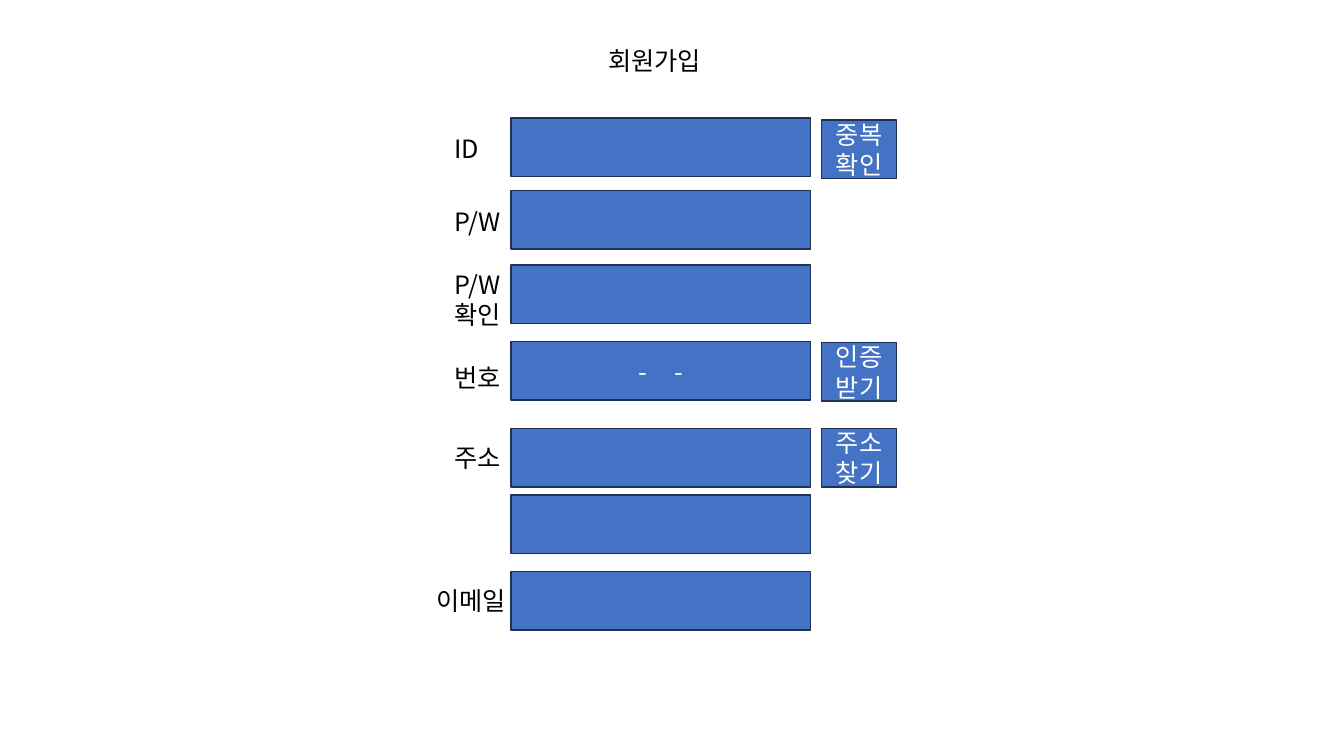
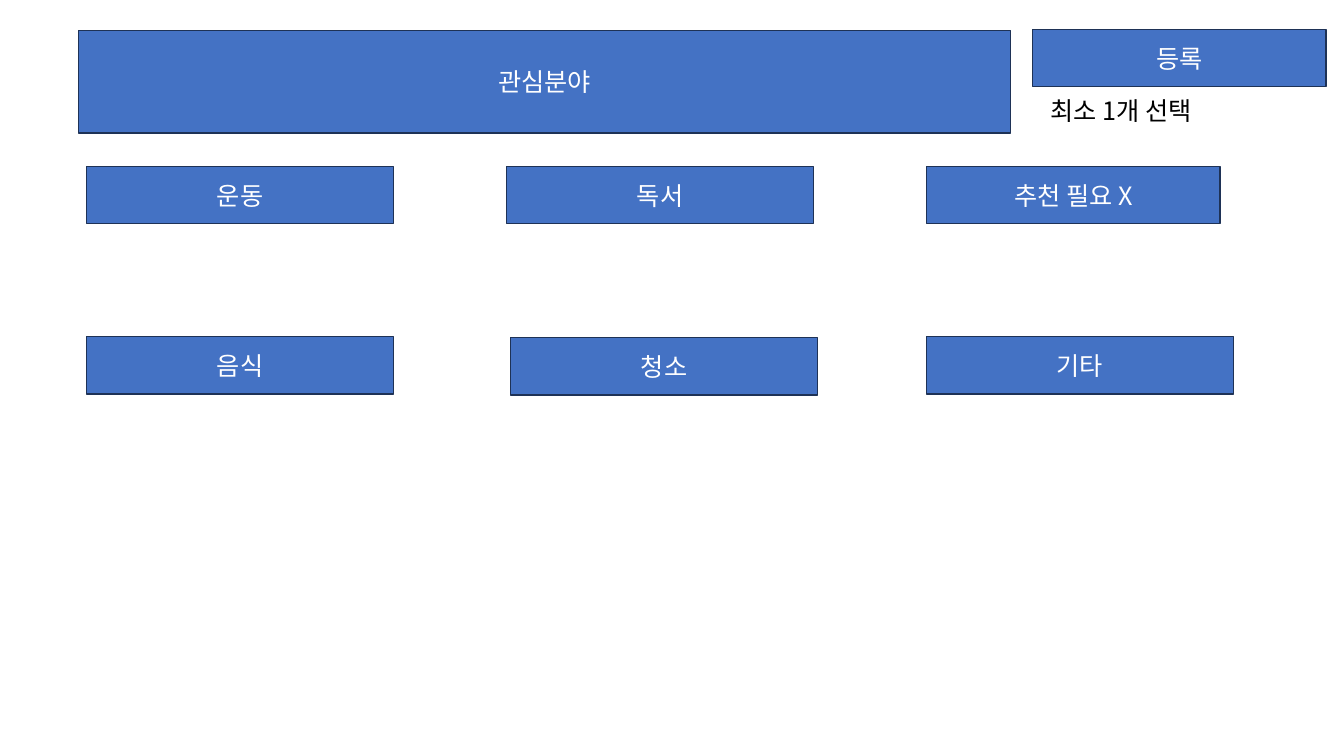
from dataclasses import dataclass
from lxml.etree import SubElement
from pptx import Presentation
from pptx.dml.color import RGBColor
from pptx.enum.shapes import MSO_SHAPE
from pptx.enum.text import MSO_ANCHOR, MSO_AUTO_SIZE, PP_ALIGN
from pptx.oxml.ns import qn
from pptx.shapes.autoshape import Shape
from pptx.slide import Slide
from pptx.util import Emu, Inches, Pt

WIDE, HIGH = Inches(13.33), Inches(7.5)
FONT = "Noto Sans CJK KR"
HUES = {"fill": "4472C4", "line": "1E3256", "light": "FFFFFF", "dark": "000000"}


@dataclass(frozen=True)
class Area:
    """Percent shares of the slide's width and height."""
    left: float
    top: float
    width: float
    height: float

    def spans(self) -> tuple[Emu, Emu, Emu, Emu]:
        return (Emu(round(WIDE * self.left / 100)), Emu(round(HIGH * self.top / 100)),
                Emu(round(WIDE * self.width / 100)), Emu(round(HIGH * self.height / 100)))


@dataclass(frozen=True)
class Field:
    top: float
    label: str = ""
    drop: float = 0
    shift: float = 0
    button: str = ""
    nudge: float = 0


@dataclass(frozen=True)
class Choice:
    col: int
    row: int
    text: str
    width: float = 22.81
    right: float = 0
    down: float = 0


FIELDS = (
    Field(15.6, "ID", 1.33, button="중복확인", nudge=0.27),
    Field(25.2, "P/W", 1.47),
    Field(35.07, "P/W\n확인", -0.13),
    Field(45.2, "번호", 2, button="인증받기", nudge=0.13),
    Field(56.67, "주소", 1.2, button="주소찾기"),
    Field(65.47),
    Field(75.6, "이메일", 1.2, -1.35),
)
PHONE = 3
CHOICES = (
    Choice(0, 0, "운동"),
    Choice(1, 0, "독서"),
    Choice(2, 0, "추천 필요 X", width=21.83),
    Choice(0, 1, "음식"),
    Choice(1, 1, "청소", right=0.3, down=0.13),
    Choice(2, 1, "기타"),
)


def write(shape: Shape, text: str, hue: str, align: PP_ALIGN,
          anchor: MSO_ANCHOR, wrap: bool = True) -> None:
    frame = shape.text_frame
    frame.text = text
    frame.word_wrap = wrap
    frame.auto_size = MSO_AUTO_SIZE.NONE
    frame.vertical_anchor = anchor
    for para in frame.paragraphs:
        para.alignment = align
        font = para.font
        font.size = Pt(18)
        font.color.rgb = RGBColor.from_string(HUES[hue])
        font.name = FONT
        props = para._p.pPr.find(qn("a:defRPr"))
        SubElement(props, qn("a:ea")).set("typeface", FONT)


def paint(shape: Shape, text: str) -> None:
    shape.fill.solid()
    shape.fill.fore_color.rgb = RGBColor.from_string(HUES["fill"])
    shape.line.color.rgb = RGBColor.from_string(HUES["line"])
    shape.line.width = Pt(1)
    write(shape, text, "light", PP_ALIGN.CENTER, MSO_ANCHOR.MIDDLE)


def box(slide: Slide, area: Area, text: str = "") -> Shape:
    shape = slide.shapes.add_shape(MSO_SHAPE.RECTANGLE, *area.spans())
    shape.shadow.inherit = False
    paint(shape, text)
    return shape


def note(slide: Slide, area: Area, text: str, wrap: bool = True) -> None:
    shape = slide.shapes.add_textbox(*area.spans())
    write(shape, text, "dark", PP_ALIGN.LEFT, MSO_ANCHOR.TOP, wrap)


def place(slide: Slide, area: Area) -> Shape:
    title = slide.shapes.title
    title.left, title.top, title.width, title.height = area.spans()
    return title


def dashes(shape: Shape) -> None:
    para = shape.text_frame.paragraphs[0]
    for text in ("-", " ", "-"):
        run = para.add_run()
        run.text = text
        if text == " ":
            run._r.get_or_add_rPr().set("spc", "1600")


def signup(slide: Slide) -> None:
    title = place(slide, Area(44.49, 5.33, 43.06, 5.33))
    write(title, "회원가입", "dark", PP_ALIGN.LEFT, MSO_ANCHOR.TOP)
    for index, field in enumerate(FIELDS):
        entry = box(slide, Area(38.03, field.top, 22.28, 7.73))
        if index == PHONE:
            dashes(entry)
        if field.label:
            note(slide, Area(33.08 + field.shift, field.top + field.drop, 9.9,
                             9.47 if "\n" in field.label else 5.33), field.label)
        if field.button:
            box(slide, Area(61.14, field.top + field.nudge, 5.55, 7.73), field.button)


def topics(slide: Slide) -> None:
    paint(place(slide, Area(5.85, 4, 69.32, 13.6)), "관심분야")
    box(slide, Area(76.82, 3.87, 21.83, 7.6), "등록")
    note(slide, Area(77.42, 12, 13.35, 5.33), "최소 1개 선택", wrap=False)
    for item in CHOICES:
        box(slide, Area(6.45 + 31.25 * item.col + item.right,
                        22 + 22.53 * item.row + item.down, item.width, 7.6), item.text)


def main() -> None:
    deck = Presentation()
    deck.slide_width, deck.slide_height = WIDE, HIGH
    for draw in (signup, topics):
        draw(deck.slides.add_slide(deck.slide_layouts[5]))
    deck.save("out.pptx")


if __name__ == "__main__":
    main()
